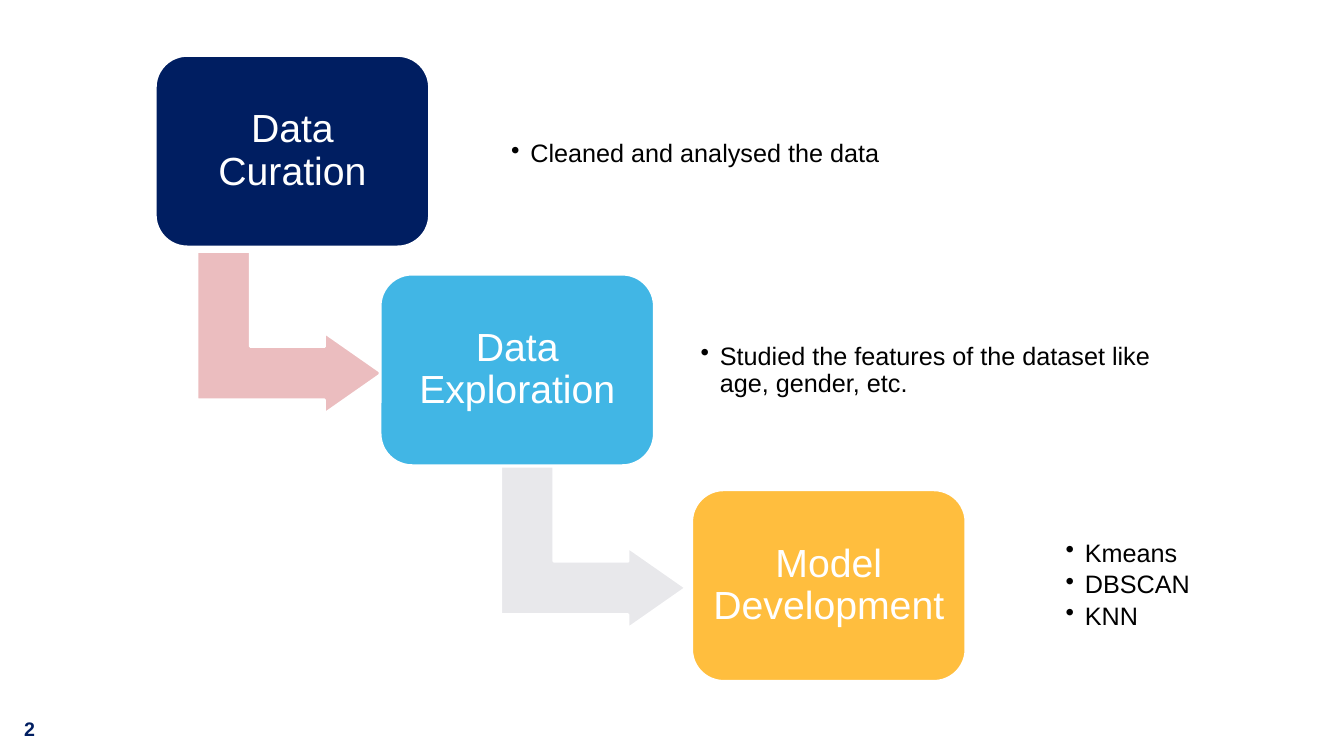
from lxml import etree
from pptx import Presentation
from pptx.dml.color import RGBColor
from pptx.enum.shapes import MSO_SHAPE
from pptx.enum.text import MSO_ANCHOR, PP_ALIGN
from pptx.oxml.ns import qn
from pptx.util import Inches, Pt

ROUNDED = MSO_SHAPE.ROUNDED_RECTANGLE
BENT_ARROW = MSO_SHAPE.BENT_UP_ARROW
MIDDLE = MSO_ANCHOR.MIDDLE
TOP = MSO_ANCHOR.TOP
CENTER = PP_ALIGN.CENTER
LEFT = PP_ALIGN.LEFT

NAVY = "001E61"
WHITE = "FFFFFF"
BLACK = "000000"

STEPS = [
    ("Data Curation", NAVY, (1.54, 0.55),
     ["Cleaned and analysed the data"], (5, 1.16, 5.12, 0.75)),
    ("Data Exploration", "41B6E5", (3.77, 2.72),
     ["Studied the features of the dataset like age, gender, etc."],
     (6.88, 3.34, 4.63, 0.68)),
    ("Model Development", "FFBE3E", (6.86, 4.86),
     ["Kmeans", "DBSCAN", "KNN"], (10.5, 5.04, 1.73, 1.54)),
]
ARROWS = [("EBBDBF", (2.07, 2.38)), ("E8E8EB", (5.08, 4.51))]


def rgb(value):
    return RGBColor.from_string(value)


def write(tf, lines, size=18, color=BLACK, bold=False, align=LEFT,
          anchor=MIDDLE, inset=0.07, spacing=0.9, after=0, bullet=False):
    tf.word_wrap = True
    tf.vertical_anchor = anchor
    tf.margin_left = tf.margin_right = Inches(inset)
    tf.margin_top = tf.margin_bottom = Inches(min(inset, 0.07))
    for i, line in enumerate(lines):
        p = tf.paragraphs[0] if i == 0 else tf.add_paragraph()
        p.alignment = align
        p.line_spacing = spacing
        p.space_after = Pt(after)
        if bullet:
            pPr = p._p.get_or_add_pPr()
            pPr.set("marL", str(Inches(0.19)))
            pPr.set("indent", str(-Inches(0.19)))
            etree.SubElement(pPr, qn("a:buChar")).set("char", "•")
        r = p.add_run()
        r.text = line
        r.font.name = "Arial"
        r.font.size = Pt(size)
        r.font.bold = bold
        r.font.color.rgb = rgb(color)


class StepSlide:
    box_size = (2.72, 1.9)
    arrow_size = (1.61, 1.84)
    outline = 2

    def __init__(self, prs):
        self.s = prs.slides.add_slide(prs.slide_layouts[6])

    def shape(self, kind, pos, size, fill, adjustments):
        sp = self.s.shapes.add_shape(kind, *map(Inches, pos + size))
        for i, value in enumerate(adjustments):
            sp.adjustments[i] = value
        sp.shadow.inherit = False
        sp.fill.solid()
        sp.fill.fore_color.rgb = rgb(fill)
        sp.line.color.rgb = rgb(WHITE)
        sp.line.width = Pt(self.outline)
        return sp

    def box(self, title, fill, pos):
        sp = self.shape(ROUNDED, pos, self.box_size, fill, [0.167])
        write(sp.text_frame, [title], size=28, color=WHITE, align=CENTER,
              inset=0.1)

    def arrow(self, fill, pos):
        sp = self.shape(BENT_ARROW, pos, self.arrow_size, fill,
                        [0.328, 0.25, 0.358])
        sp.rotation = 90

    def text(self, lines, at, **style):
        sp = self.s.shapes.add_textbox(*map(Inches, at))
        write(sp.text_frame, lines, **style)


def main():
    prs = Presentation()
    prs.slide_width = Inches(13.33)
    prs.slide_height = Inches(7.5)
    slide = StepSlide(prs)
    slide.text(["2"], (0.14, 7.04, 0.66, 0.34), size=14, color=NAVY,
               bold=True, anchor=TOP, inset=0.1, spacing=1.0)
    for arrow in ARROWS:
        slide.arrow(*arrow)
    for title, fill, pos, notes, notes_at in STEPS:
        slide.box(title, fill, pos)
        slide.text(notes, notes_at, after=3, bullet=True)
    prs.save("out.pptx")


if __name__ == "__main__":
    main()
